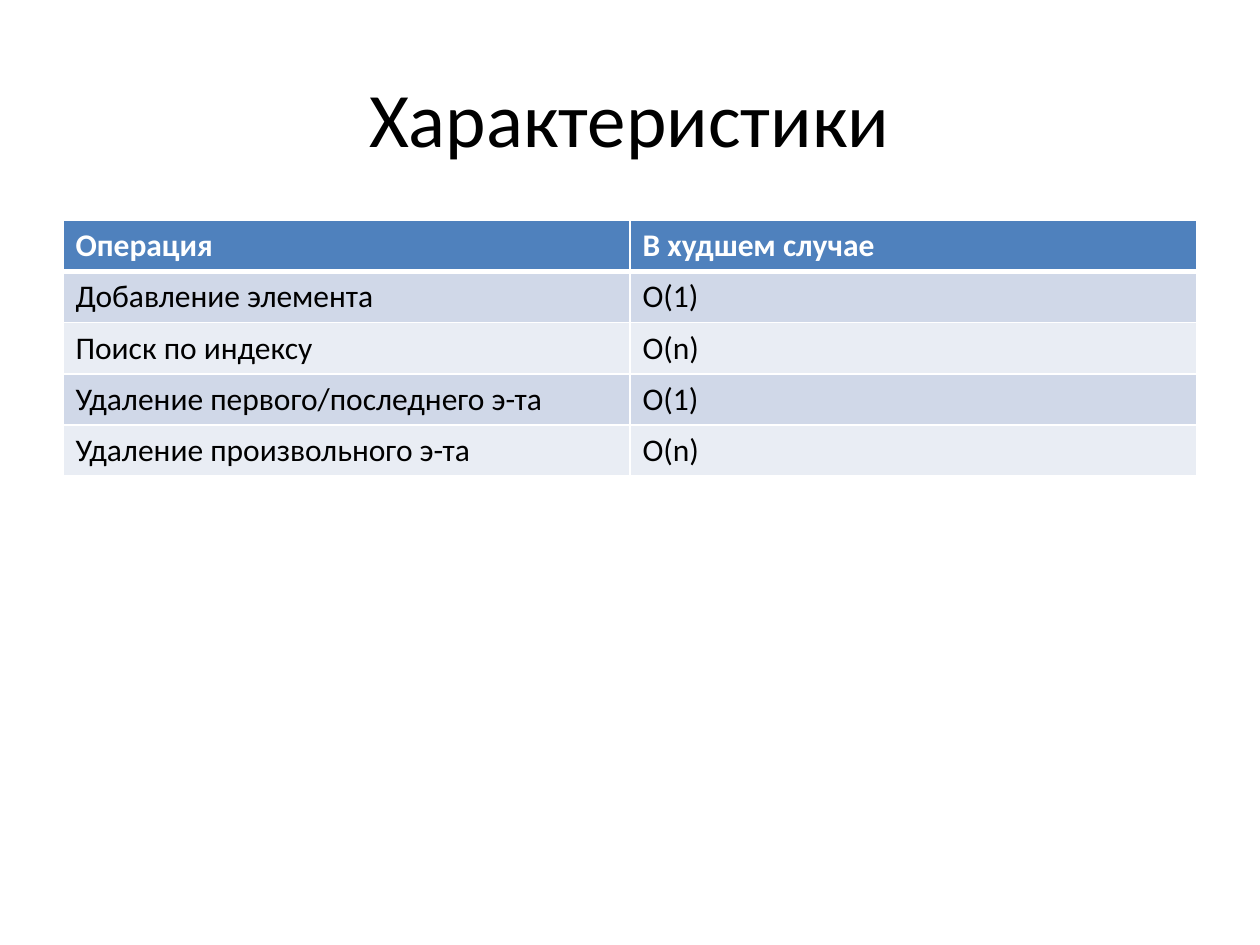
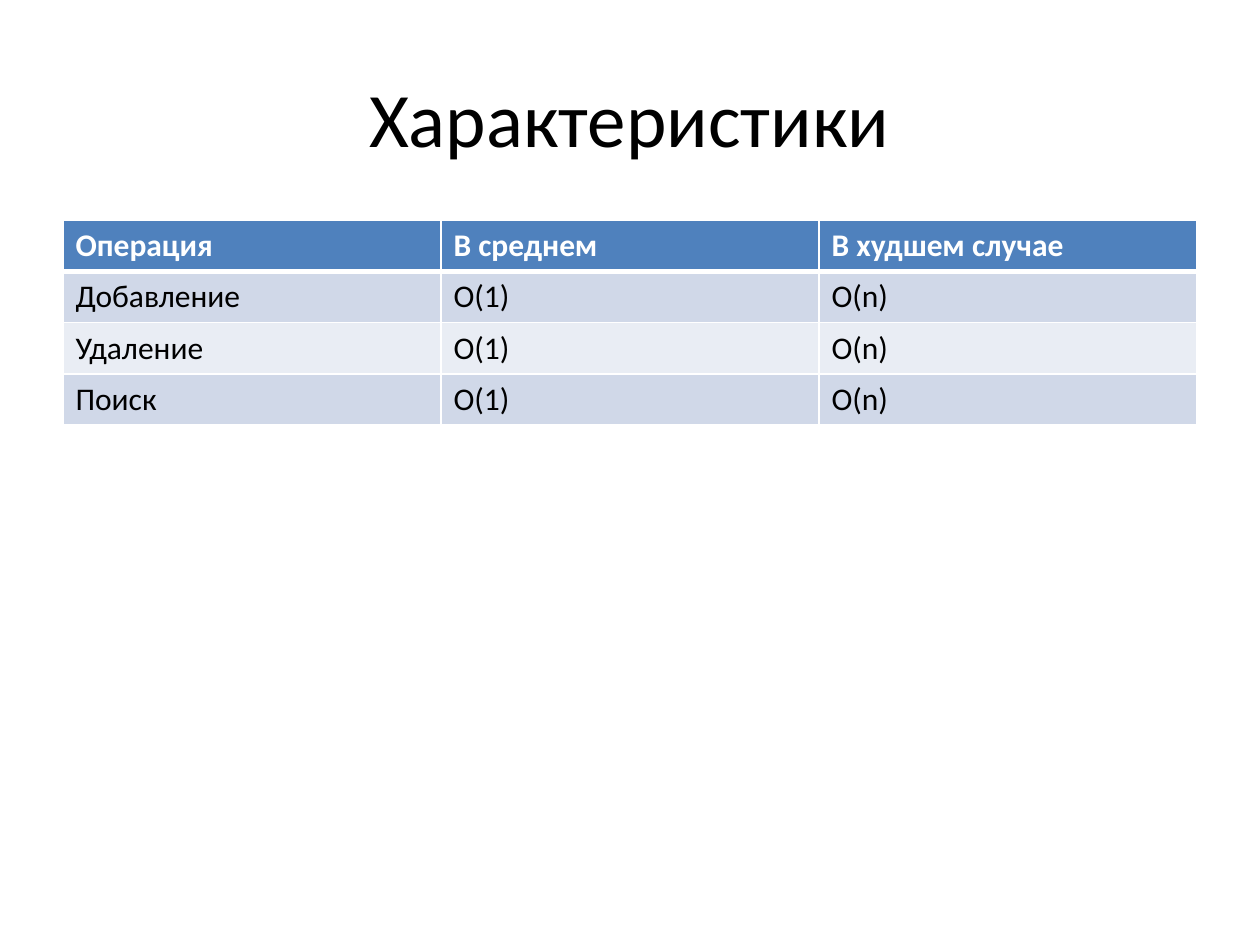
import pptx
import pptx.util
import pptx.dml.color
import pptx.enum.text
import pptx.oxml.ns
import lxml.etree

Pt = pptx.util.Pt

# Content: a title and a table for each slide, header row first
SLIDES = [
    ("Характеристики", [
        ("Операция", "В худшем случае"),
        ("Добавление элемента", "O(1)"),
        ("Поиск по индексу", "O(n)"),
        ("Удаление первого/последнего э-та", "O(1)"),
        ("Удаление произвольного э-та", "O(n)"),
    ]),
    ("Характеристики", [
        ("Операция", "В среднем", "В худшем случае"),
        ("Добавление", "O(1)", "O(n)"),
        ("Удаление", "O(1)", "O(n)"),
        ("Поиск", "O(1)", "O(n)"),
    ]),
]

# Shared style
COLORS = {"text": "000000", "white": "FFFFFF", "header": "4F81BD",
          "odd": "D0D8E8", "even": "E9EDF4"}
FONT = "Calibri"
LEFT, WIDTH = 36, 648
TITLE_TOP, TITLE_HEIGHT = 21.6, 90
TABLE_TOP, ROW_HEIGHT = 126, 29.2
THIN, THICK = 1, 3


def rgb(name):
    return pptx.dml.color.RGBColor.from_string(COLORS[name])


def set_text(tf, text, size=18, color="text", bold=False, align="LEFT"):
    p = tf.paragraphs[0]
    p.alignment = getattr(pptx.enum.text.PP_ALIGN, align)
    r = p.add_run()
    r.text = text
    r.font.name = FONT
    r.font.size = Pt(size)
    r.font.bold = bold
    r.font.color.rgb = rgb(color)


def set_borders(cell, **widths):
    tc_pr = cell._tc.get_or_add_tcPr()
    qn = pptx.oxml.ns.qn
    for side in ("L", "R", "T", "B"):
        ln = lxml.etree.SubElement(tc_pr, qn("a:ln" + side),
                                   w=str(Pt(widths.get(side, THIN))))
        fill = lxml.etree.SubElement(ln, qn("a:solidFill"))
        lxml.etree.SubElement(fill, qn("a:srgbClr"), val=COLORS["white"])


def add_title(s, text):
    sp = s.shapes.title
    sp.left, sp.top = Pt(LEFT), Pt(TITLE_TOP)
    sp.width, sp.height = Pt(WIDTH), Pt(TITLE_HEIGHT)
    sp.text_frame.vertical_anchor = pptx.enum.text.MSO_ANCHOR.MIDDLE
    set_text(sp.text_frame, text, size=44, align="CENTER")


def add_table(s, rows):
    n_rows, n_cols = len(rows), len(rows[0])
    table = s.shapes.add_table(n_rows, n_cols, Pt(LEFT), Pt(TABLE_TOP),
                               Pt(WIDTH), Pt(ROW_HEIGHT * n_rows)).table
    for column in table.columns:
        column.width = Pt(WIDTH / n_cols)
    for i, row in enumerate(rows):
        table.rows[i].height = Pt(ROW_HEIGHT)
        header = i == 0
        band = "header" if header else ("even", "odd")[i % 2]
        # A thick rule separates the header from the body
        rule = {0: {"B": THICK}, 1: {"T": THICK}}.get(i, {})
        for j, text in enumerate(row):
            cell = table.cell(i, j)
            set_borders(cell, **rule)
            cell.fill.solid()
            cell.fill.fore_color.rgb = rgb(band)
            set_text(cell.text_frame, text, bold=header,
                     color="white" if header else "text")


# Build the slides on the title-only layout
prs = pptx.Presentation()
prs.slide_width, prs.slide_height = Pt(720), Pt(540)
for title, rows in SLIDES:
    s = prs.slides.add_slide(prs.slide_layouts[5])
    add_title(s, title)
    add_table(s, rows)
prs.save("out.pptx")
